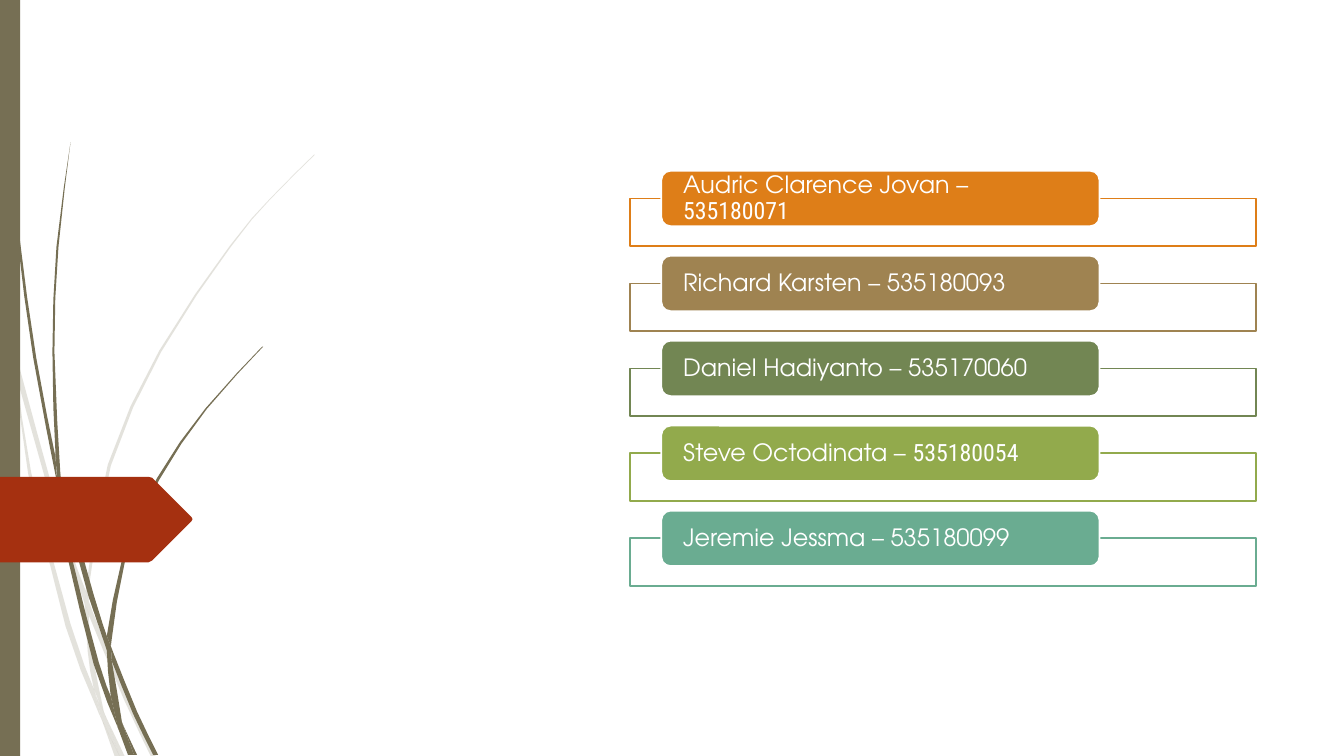
from collections import namedtuple
from itertools import groupby
from lxml.etree import SubElement
from pptx import Presentation
from pptx.dml.color import RGBColor
from pptx.enum.shapes import MSO_SHAPE as Shape
from pptx.enum.text import MSO_ANCHOR as Anchor, PP_ALIGN as Align
from pptx.oxml.ns import qn
from pptx.util import Inches, Pt

Box = namedtuple("Box", "left top width height")
CELL = Inches(0.01)
SLIDE = Box(0, 0, 1333.33, 750)
THEME = {
    "stem": "766F54", "tag": "A53010", "paper": "FFFFFF",
    "font": "TeX Gyre Adventor", "narrow": "Roboto Condensed",
    "size": 17, "outline": 1.25, "faint": 20, "veil": 90,
}
MEMBERS = [
    ("Audric Clarence Jovan – ", "535180071", "narrow", "DE7E18"),
    ("Richard Karsten – ", "535180093", "font", "9F8351"),
    ("Daniel Hadiyanto – ", "535170060", "font", "728653"),
    ("Steve Octodinata – ", "535180054", "narrow", "92AA4C"),
    ("Jeremie Jessma – ", "535180099", "font", "6AAC91"),
]
PALE_BLADES = [
    [[(11, 350), (0, 282)], [(0, 299), (11, 350)]],
    [[(58, 522), (84, 599)], [(85, 586), (62, 520), (14, 345)], [(17, 376), (58, 522)]],
    [[(92, 607), (88, 596)], [(88, 610), (123, 694), (150, 751)],
     [(155, 751), (127, 692), (92, 607)]],
    [[(119, 751), (124, 751)], [(105, 711), (119, 751)]],
    [[(93, 683), (70, 619), (31, 469), (17, 376), (11, 350)],
     [(28, 470), (65, 621), (92, 693), (101, 714)], [(99, 707), (93, 683)]],
    [[(84, 599), (87, 646), (93, 683), (105, 711)],
     [(103, 706), (91, 646), (88, 610)], [(88, 608), (84, 599)]],
    [[(88, 584), (110, 462), (160, 349), (229, 245), (268, 198), (312, 154)],
     [(312, 153), (268, 197), (228, 244), (158, 348), (107, 461), (85, 586)],
     [(88, 596), (88, 584)]],
    [[(101, 714), (114, 751)], [(119, 751), (101, 714)]],
    [[(88, 608), (88, 610)], [(88, 596), (85, 586)], [(84, 599), (88, 608)]],
    [[(93, 683), (101, 714)], [(119, 751), (105, 711)], [(96, 692), (93, 683)]],
]
DARK_BLADES = [
    [[(7, 110), (17, 233), (33, 355), (57, 481)],
     [(55, 453), (36, 355), (19, 232), (8, 109), (4, 0)],
     [(3, 0), (7, 110)]],
    [[(88, 592), (106, 645)], [(106, 631), (93, 590), (60, 472)],
     [(64, 505), (88, 592)]],
    [[(113, 649), (110, 641)], [(111, 656), (132, 708), (152, 749)],
     [(157, 749), (136, 706), (113, 649)]],
    [[(110, 691), (98, 657), (72, 556), (57, 477)],
     [(68, 557), (93, 659), (117, 722)], [(116, 717), (110, 691)]],
    [[(60, 472), (54, 349), (58, 245), (70, 141)],
     [(70, 141), (56, 245), (52, 349), (55, 449), (60, 472)]],
    [[(133, 749), (136, 749)], [(122, 719), (133, 749)]],
    [[(57, 477), (64, 505)], [(60, 472), (55, 449)], [(55, 453), (57, 477)]],
    [[(111, 633), (125, 552), (158, 476), (205, 406), (261, 344)],
     [(260, 344), (204, 405), (156, 474), (122, 551), (106, 631)],
     [(110, 641), (111, 633)]],
    [[(117, 722), (127, 749)], [(131, 749), (117, 722)]],
    [[(106, 645), (110, 691), (122, 719)], [(121, 716), (111, 656), (106, 645)]],
    [[(106, 645), (111, 656)], [(110, 641), (106, 631)], [(106, 631), (106, 645)]],
    [[(110, 691), (117, 722)], [(130, 749), (133, 749)], [(122, 719), (110, 691)]],
]
TAG_OUTLINE = [
    [(0, 0), (147, 0)], [(151, 1), (190, 40)], [(191, 42), (190, 44)],
    [(151, 83), (147, 85)], [(147, 85), (0, 85)],
]


def paint(shape, fill, opacity=100, line=None):
    shape.shadow.inherit = False
    shape.fill.solid()
    shape.fill.fore_color.rgb = RGBColor.from_string(fill)
    if opacity < 100:
        color = next(shape.element.spPr.iterchildren(qn("a:solidFill")))[0]
        SubElement(color, qn("a:alpha"), val=str(opacity * 1000))
    if line:
        shape.line.color.rgb = RGBColor.from_string(line)
        shape.line.width = Pt(THEME["outline"])
    else:
        shape.line.fill.background()


def add_block(shapes, kind, box, **style):
    shape = shapes.add_shape(kind, *(round(length * CELL) for length in box))
    paint(shape, **style)
    return shape


def curve(edge):
    if len(edge) == 2:
        return edge
    padded = [edge[0], *edge, edge[-1]]
    points = [edge[0]]
    for before, start, end, after in zip(padded, padded[1:], padded[2:], padded[3:]):
        middle = tuple((9 * (b + c) - a - d) / 16
                       for a, b, c, d in zip(before, start, end, after))
        points += [middle, end]
    return points


def add_outline(shapes, box, edges, **style):
    points = [((box.left + x) * CELL, (box.top + y) * CELL)
              for edge in edges for x, y in curve(edge)]
    points = [point for point, _ in groupby(points)]
    builder = shapes.build_freeform(*points[0], scale=1.0)
    builder.add_line_segments(points[1:], close=True)
    paint(builder.convert_to_shape(), **style)


def add_decoration(slide, box):
    for blades, opacity in ((PALE_BLADES, THEME["faint"]), (DARK_BLADES, 100)):
        group = slide.shapes.add_group_shape()
        for edges in blades:
            add_outline(group.shapes, box, edges, fill=THEME["stem"], opacity=opacity)
    add_block(slide.shapes, Shape.RECTANGLE, box._replace(width=20), fill=THEME["stem"])
    tag = Box(box.left, box.top + 473, 191, 85)
    add_outline(slide.shapes, tag, TAG_OUTLINE, fill=THEME["tag"])


def add_label(shape, name, number, number_font):
    frame = shape.text_frame
    settings = {"word_wrap": True, "vertical_anchor": Anchor.MIDDLE,
                "margin_left": 19 * CELL, "margin_right": 19 * CELL,
                "margin_top": 0, "margin_bottom": 0}
    for key, value in settings.items():
        setattr(frame, key, value)
    paragraph = frame.paragraphs[0]
    paragraph.alignment, paragraph.line_spacing = Align.LEFT, 0.9
    for text, font in ((name, "font"), (number, number_font)):
        run = paragraph.add_run()
        run.text = text
        for key, value in {"name": THEME[font], "size": Pt(THEME["size"])}.items():
            setattr(run.font, key, value)
        run.font.color.rgb = RGBColor.from_string(THEME["paper"])


def add_members(slide, box):
    group = slide.shapes.add_group_shape()
    pitch = box.height / len(MEMBERS)
    for row, (name, number, number_font, color) in enumerate(MEMBERS):
        top = box.top + row * pitch
        frame = Box(box.left, top + 27.5, box.width, 47)
        add_block(group.shapes, Shape.RECTANGLE, frame,
                  fill=THEME["paper"], opacity=THEME["veil"], line=color)
        label = Box(box.left + box.width * 0.05, top, box.width * 0.7, 55)
        shape = add_block(group.shapes, Shape.ROUNDED_RECTANGLE, label,
                          fill=color, line=THEME["paper"])
        add_label(shape, name, number, number_font)


def main():
    presentation = Presentation()
    presentation.slide_width = round(SLIDE.width * CELL)
    presentation.slide_height = round(SLIDE.height * CELL)
    slide = presentation.slides.add_slide(presentation.slide_layouts[6])
    add_decoration(slide, SLIDE)
    add_members(slide, Box(625, 169.4, 621, 421.5))
    presentation.save("out.pptx")


if __name__ == "__main__":
    main()
